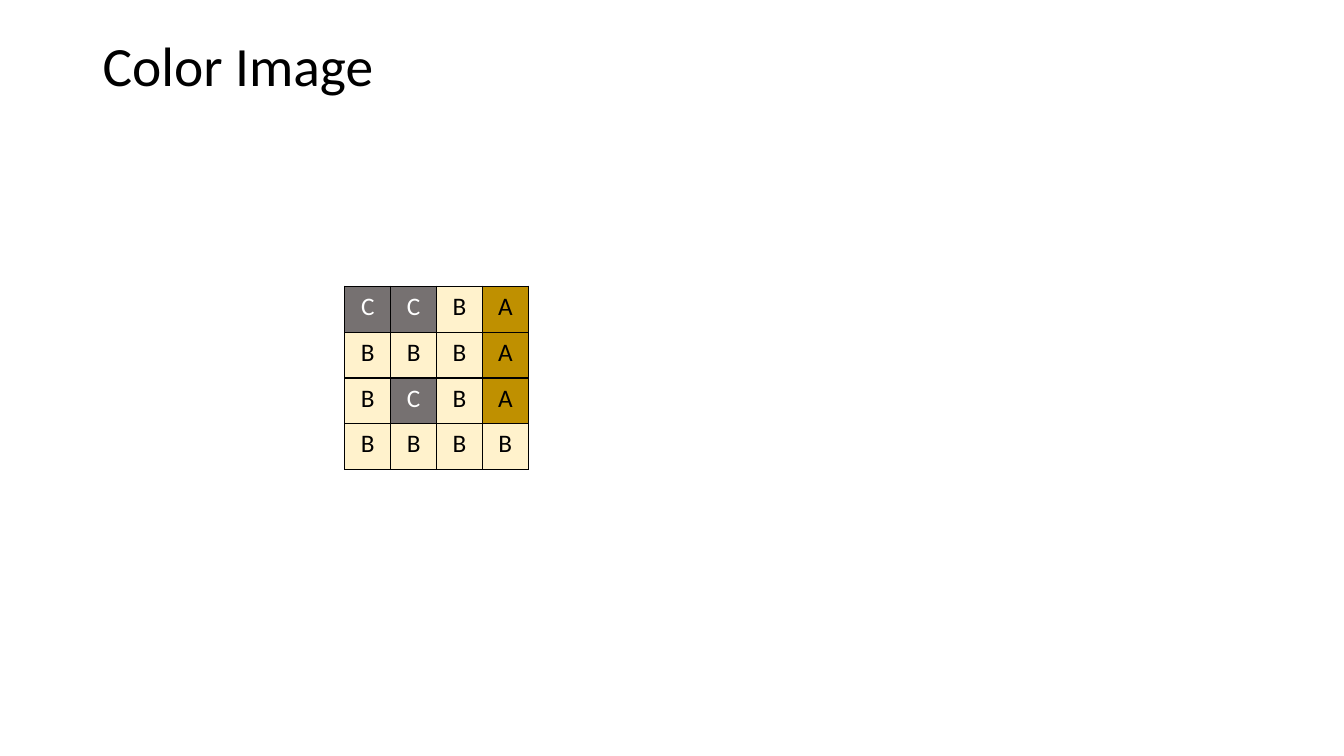
from lxml.etree import SubElement
from pptx import Presentation
from pptx.dml.color import RGBColor
from pptx.enum.text import MSO_ANCHOR, PP_ALIGN
from pptx.oxml.ns import qn
from pptx.util import Inches, Pt

PIXEL_ROWS = ["CCBA", "BBBA", "BCBA", "BBBB"]
PIXEL_COLORS = {
    "A": ("BF9000", "000000"),
    "B": ("FFF2CC", "000000"),
    "C": ("767171", "FFFFFF"),
}
GRID_SIZE = 1.82


def color(value):
    return RGBColor.from_string(value)


def write_text(frame, text, size=18, text_color="000000", align=PP_ALIGN.LEFT, spacing=1.0):
    paragraph = frame.paragraphs[0]
    paragraph.alignment = align
    paragraph.line_spacing = spacing
    run = paragraph.add_run()
    run.text = text
    run.font.name = "Calibri"
    run.font.size = Pt(size)
    run.font.color.rgb = color(text_color)


def add_title(slide, text):
    box = slide.shapes.add_textbox(Inches(0.92), Inches(0.4), Inches(11.5), Inches(0.55))
    box.text_frame.word_wrap = True
    box.text_frame.vertical_anchor = MSO_ANCHOR.MIDDLE
    write_text(box.text_frame, text, size=39.6, spacing=0.9)


def set_borders(cell, line_color="000000", width=1):
    properties = cell._tc.get_or_add_tcPr()
    for index, side in enumerate(("a:lnL", "a:lnR", "a:lnT", "a:lnB")):
        line = properties.makeelement(qn(side), {"w": str(Pt(width))})
        fill = SubElement(line, qn("a:solidFill"))
        SubElement(fill, qn("a:srgbClr"), val=line_color)
        properties.insert(index, line)


def add_pixel_grid(slide, rows):
    frame = slide.shapes.add_table(
        len(rows), len(rows[0]), Inches(3.42), Inches(2.84), Inches(GRID_SIZE), Inches(GRID_SIZE)
    )
    table = frame.table
    table.first_row = False
    table.horz_banding = False
    for row_index, row in enumerate(rows):
        for column_index, letter in enumerate(row):
            fill_color, text_color = PIXEL_COLORS[letter]
            cell = table.cell(row_index, column_index)
            cell.fill.solid()
            cell.fill.fore_color.rgb = color(fill_color)
            set_borders(cell)
            write_text(cell.text_frame, letter, text_color=text_color, align=PP_ALIGN.CENTER)


def main():
    presentation = Presentation()
    presentation.slide_width = Inches(13.33)
    presentation.slide_height = Inches(7.5)
    slide = presentation.slides.add_slide(presentation.slide_layouts[6])
    add_title(slide, "Color Image")
    add_pixel_grid(slide, PIXEL_ROWS)
    presentation.save("out.pptx")


if __name__ == "__main__":
    main()
